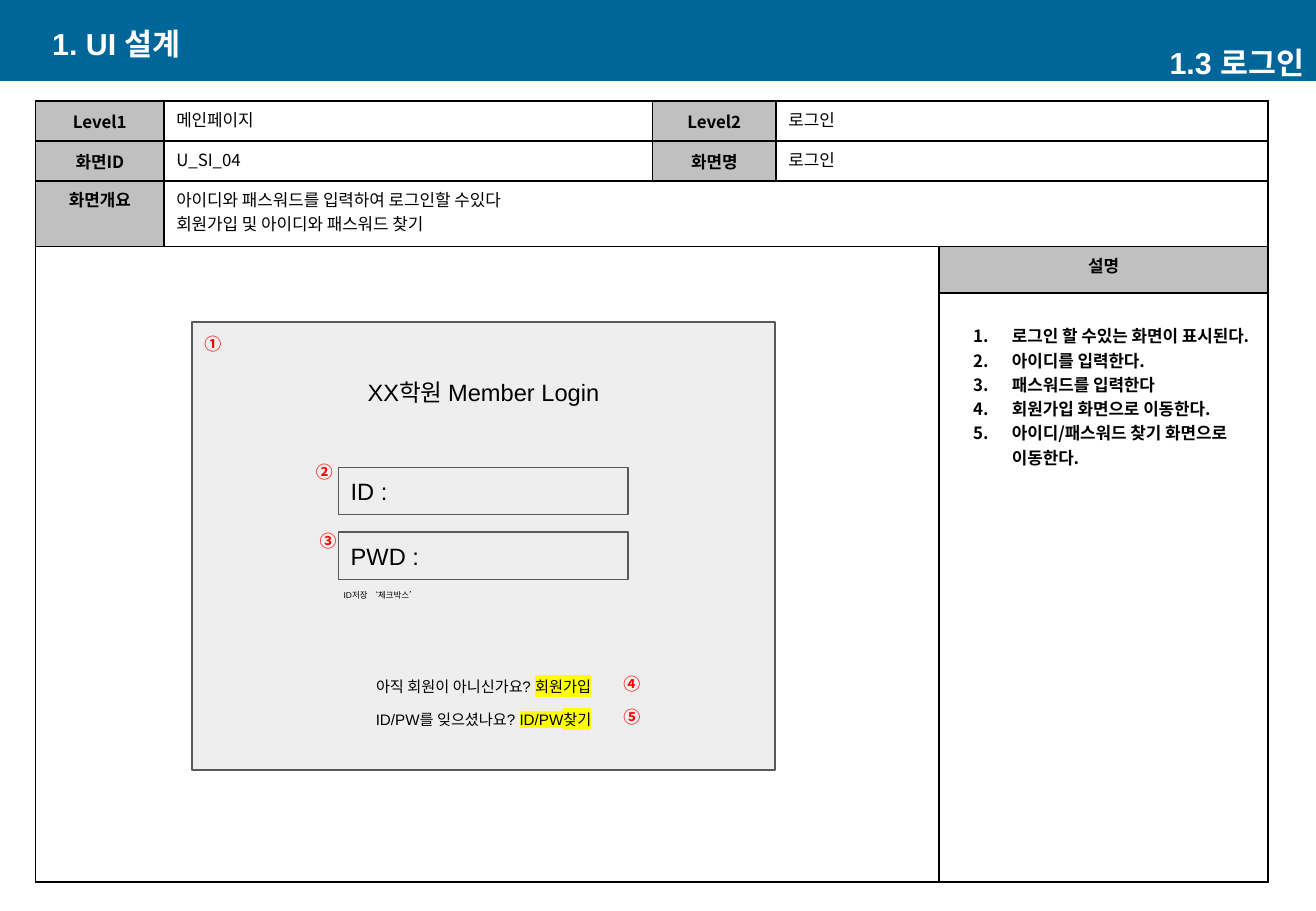
import lxml.etree
import pptx
import pptx.dml.color
import pptx.enum.shapes
import pptx.enum.text
import pptx.oxml.ns
import pptx.util

Pt = pptx.util.Pt
RGBColor = pptx.dml.color.RGBColor
ALIGN = pptx.enum.text.PP_ALIGN
ANCHOR = pptx.enum.text.MSO_ANCHOR
RECTANGLE = pptx.enum.shapes.MSO_SHAPE.RECTANGLE
qn = pptx.oxml.ns.qn

BLACK = RGBColor(0, 0, 0)
WHITE = RGBColor(255, 255, 255)
RED = RGBColor(255, 0, 0)
BANNER_BLUE = RGBColor(0x00, 0x66, 0x99)
LABEL_GRAY = RGBColor(0xC0, 0xC0, 0xC0)
PANEL_GRAY = RGBColor(0xEE, 0xEE, 0xEE)
OUTLINE_GRAY = RGBColor(0x59, 0x59, 0x59)
YELLOW = RGBColor(255, 255, 0)
ARIAL = "Arial"
KOREAN = "Noto Sans CJK KR"

COLUMNS = (76.3, 289.4, 73.4, 96.5, 195.1)
ROWS = (23.8, 23.8, 38.9, 27.4, 349.2)
LABELS = {(0, 0): "Level1", (0, 2): "Level2", (1, 0): "화면ID",
          (1, 2): "화면명", (2, 0): "화면개요", (3, 4): "설명"}
VALUES = {(0, 1): ["메인페이지"], (0, 3): ["로그인"],
          (1, 1): ["U_SI_04"], (1, 3): ["로그인"],
          (2, 1): ["아이디와 패스워드를 입력하여 로그인할 수있다",
                   "회원가입 및 아이디와 패스워드 찾기"]}
MERGES = (((0, 3), (0, 4)), ((1, 3), (1, 4)), ((2, 1), (2, 4)), ((3, 0), (4, 3)))
STEPS = ["로그인 할 수있는 화면이 표시된다.", "아이디를 입력한다.", "패스워드를 입력한다",
         "회원가입 화면으로 이동한다.", "아이디/패스워드 찾기 화면으로 이동한다."]


def add_run(paragraph, text, size, face=KOREAN, color=BLACK, bold=False, highlight=None):
    run = paragraph.add_run()
    run.text = text
    font = run.font
    font.size, font.name, font.bold = Pt(size), face, bold
    font.color.rgb = color
    properties = run._r.get_or_add_rPr()
    east_asian = lxml.etree.Element(qn("a:ea"), typeface=KOREAN)
    properties.find(qn("a:latin")).addnext(east_asian)
    if highlight is not None:
        marker = lxml.etree.Element(qn("a:highlight"))
        lxml.etree.SubElement(marker, qn("a:srgbClr"), val=str(highlight))
        properties.find(qn("a:solidFill")).addnext(marker)


def set_insets(frame, vertical):
    frame.margin_left = frame.margin_right = Pt(7.2)
    frame.margin_top = frame.margin_bottom = Pt(vertical)


def add_text(slide, box, text, size, align=ALIGN.LEFT, anchor=ANCHOR.TOP,
             inset=7.2, **style):
    """Place one line of text and return its paragraph."""
    frame = slide.shapes.add_textbox(*map(Pt, box)).text_frame
    frame.word_wrap = True
    frame.vertical_anchor = anchor
    set_insets(frame, inset)
    paragraph = frame.paragraphs[0]
    paragraph.alignment = align
    add_run(paragraph, text, size, **style)
    return paragraph


def add_rectangle(slide, box, fill, line=None):
    rectangle = slide.shapes.add_shape(RECTANGLE, *map(Pt, box))
    rectangle.shadow.inherit = False
    rectangle.fill.solid()
    rectangle.fill.fore_color.rgb = fill
    if line is None:
        rectangle.line.fill.background()
    else:
        rectangle.line.color.rgb = line
        rectangle.line.width = Pt(0.75)
    return rectangle


def add_banner(slide, box):
    left, top, width, height = box
    add_rectangle(slide, box, BANNER_BLUE)
    title_width = 315.4
    style = dict(anchor=ANCHOR.MIDDLE, inset=3.6, face=ARIAL, color=WHITE, bold=True)
    add_text(slide, (left + 23.8, top + 13.7, title_width, 23.8), "1. UI 설계", 18, **style)
    add_text(slide, (left + width - title_width, top + 25.2, title_width, 23.8),
             "1.3 로그인", 18, align=ALIGN.RIGHT, **style)


def set_borders(cell):
    properties = cell._tc.get_or_add_tcPr()
    for index, side in enumerate(("a:lnL", "a:lnR", "a:lnT", "a:lnB")):
        border = lxml.etree.Element(qn(side), w=str(Pt(1)))
        fill = lxml.etree.SubElement(border, qn("a:solidFill"))
        lxml.etree.SubElement(fill, qn("a:srgbClr"), val=str(BLACK))
        properties.insert(index, border)


def number_paragraph(paragraph):
    properties = paragraph._p.get_or_add_pPr()
    properties.set("marL", str(Pt(36)))
    properties.set("indent", str(-Pt(23)))
    color = lxml.etree.SubElement(properties, qn("a:buClr"))
    lxml.etree.SubElement(color, qn("a:srgbClr"), val=str(BLACK))
    lxml.etree.SubElement(properties, qn("a:buAutoNum"), type="arabicPeriod")


def fill_cell(cell, lines, bold=False, align=ALIGN.LEFT, numbered=False):
    frame = cell.text_frame
    for index, line in enumerate(lines):
        paragraph = frame.add_paragraph() if index else frame.paragraphs[0]
        paragraph.alignment = align
        if numbered:
            number_paragraph(paragraph)
        add_run(paragraph, line, 10, bold=bold)


def add_spec_table(slide, box):
    table = slide.shapes.add_table(len(ROWS), len(COLUMNS), *map(Pt, box)).table
    table.first_row = table.horz_banding = False
    for column, width in zip(table.columns, COLUMNS):
        column.width = Pt(width)
    for row, height in zip(table.rows, ROWS):
        row.height = Pt(height)
    for cell in table.iter_cells():
        set_insets(cell, 3.6)
        cell.fill.background()
        set_borders(cell)
    for start, end in MERGES:
        table.cell(*start).merge(table.cell(*end))
    for position, label in LABELS.items():
        cell = table.cell(*position)
        cell.fill.solid()
        cell.fill.fore_color.rgb = LABEL_GRAY
        if position[0] < 2:
            cell.vertical_anchor = ANCHOR.MIDDLE
        fill_cell(cell, [label], bold=True, align=ALIGN.CENTER)
    for position, lines in VALUES.items():
        fill_cell(table.cell(*position), lines)
    description = table.cell(4, 4)
    description.margin_top = Pt(18)
    fill_cell(description, STEPS, bold=True, numbered=True)


def add_login_panel(slide, box):
    left, top, width, height = box
    add_rectangle(slide, box, PANEL_GRAY, OUTLINE_GRAY)
    for index, label in enumerate(("ID :", "PWD :")):
        field = add_rectangle(slide, (left + 87, top + 86.2 + 38.3 * index, 171.5, 28.2),
                              PANEL_GRAY, OUTLINE_GRAY)
        frame = field.text_frame
        set_insets(frame, 7.2)
        frame.vertical_anchor = ANCHOR.MIDDLE
        frame.paragraphs[0].alignment = ALIGN.LEFT
        add_run(frame.paragraphs[0], label, 14, face=ARIAL)

    text_width = 184.3
    text_left = left + (width - text_width) / 2
    add_text(slide, (text_left, top + 26, text_width, 31.7), "XX학원 Member Login", 14,
             align=ALIGN.CENTER, face=ARIAL)
    add_text(slide, (left + 82.8, top + 156.2, 67, 20.9), "ID저장 ‘체크박스’", 5, face=ARIAL)

    links = (("아직 회원이 아니신가요? ", "회원가입"), ("ID/PW를 잊으셨나요? ", "ID/PW찾기"))
    for index, (question, link) in enumerate(links):
        paragraph = add_text(slide, (text_left, top + 205.2 + 19.4 * index, text_width, 25.2),
                             question, 9, align=ALIGN.CENTER, face=ARIAL)
        add_run(paragraph, link, 9, face=ARIAL, highlight=YELLOW)

    markers = {"①": (0, 3.6), "②": (66.2, 79.2), "③": (68.4, 120.2),
               "④": (248.4, 205.2), "⑤": (248.4, 224.6)}
    for marker, (across, down) in markers.items():
        add_text(slide, (left + across, top + down, 24.5, 19.4), marker, 10,
                 align=ALIGN.CENTER, inset=3.6, color=RED, bold=True)


def main():
    deck = pptx.Presentation()
    deck.slide_width, deck.slide_height = Pt(780), Pt(540)
    slide = deck.slides.add_slide(deck.slide_layouts[6])
    add_banner(slide, (0, 0, 780, 48))
    add_spec_table(slide, (21, 59.8, sum(COLUMNS), sum(ROWS)))
    add_login_panel(slide, (113.8, 190.8, 345.6, 265.7))
    deck.save("out.pptx")


if __name__ == "__main__":
    main()
